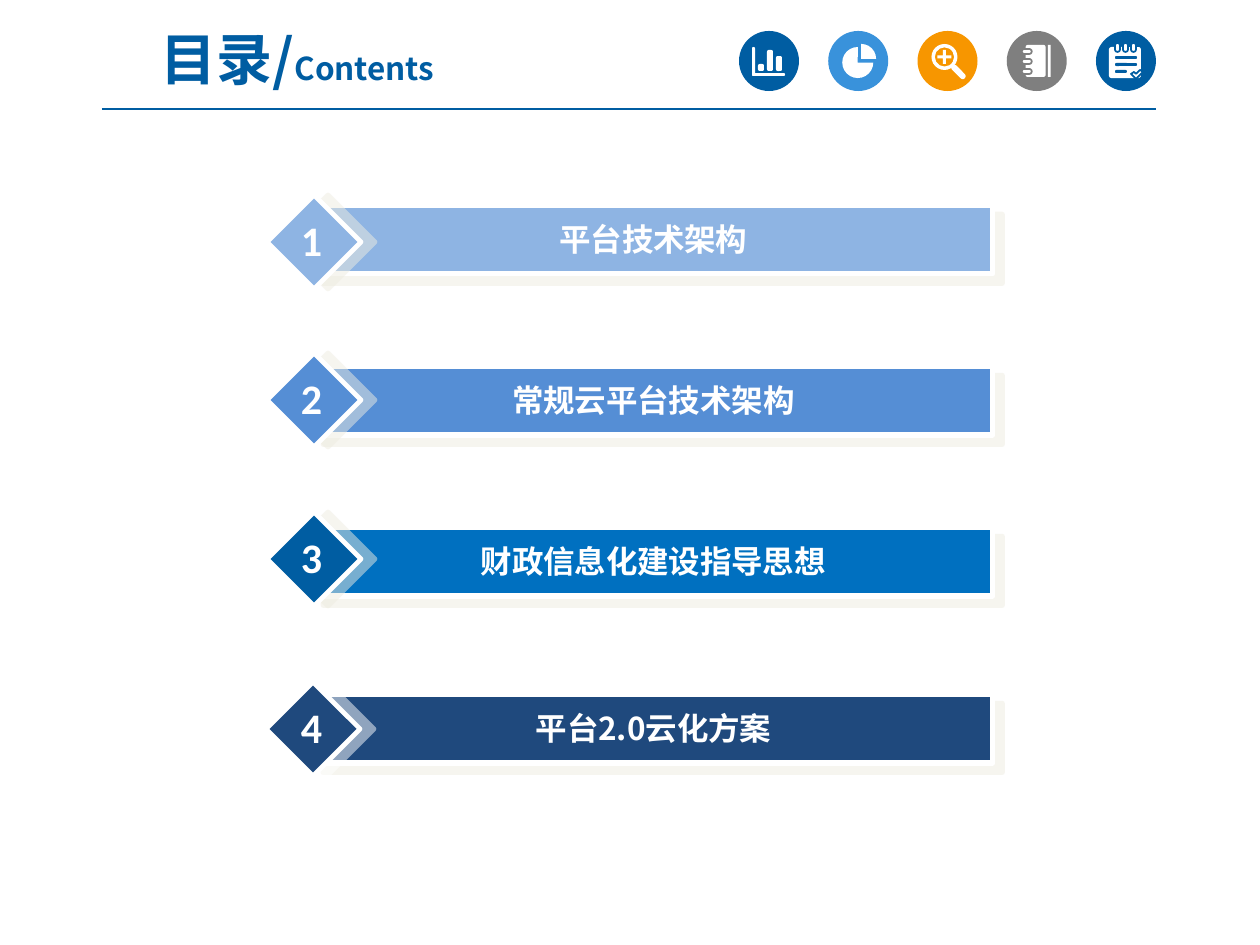
from lxml.etree import SubElement
from pptx import Presentation
from pptx.dml.color import RGBColor
from pptx.enum.shapes import MSO_CONNECTOR, MSO_SHAPE as Shape
from pptx.enum.text import MSO_ANCHOR, PP_ALIGN
from pptx.oxml.ns import qn
from pptx.util import Pt

COLORS = {
    "white": "FFFFFF", "shade": "EEECE1", "blue": "005DA2", "sky": "3992DB",
    "orange": "F79600", "gray": "7F7F7F", "pale": "8EB4E3", "mid": "558ED5",
    "bright": "0070C0", "navy": "1F497D",
}
CJK, LATIN = "Noto Sans CJK SC", "Calibri"
TITLE = [("目录/", 24), ("Contents", 13.5)]

# number, label, bar colour, diamond colour, diamond shadow, bar top, diamond left, diamond top
AGENDA = [
    ("1", "平台技术架构", "pale", "pale", "shade", 205, 267, 195),
    ("2", "常规云平台技术架构", "mid", "mid", "shade", 366, 267, 353),
    ("3", "财政信息化建设指导思想", "bright", "blue", "shade", 527, 267, 512),
    ("4", "平台2.0云化方案", "navy", "navy", "white", 694, 266, 682),
]

RECT, ROUND, PIE = Shape.RECTANGLE, Shape.ROUNDED_RECTANGLE, Shape.PIE
BADGES = [
    ("blue", [
        (ROUND, (13, 16, 3, 29), [0.5]), (ROUND, (13, 42, 33, 3), [0.5]),
        (ROUND, (19, 33, 6, 7), [0.3]), (ROUND, (28, 19, 6, 21), [0.3]),
        (ROUND, (37, 25, 6, 15), [0.3]),
    ]),
    ("sky", [(PIE, (14, 16, 31, 31), [0, 162]), (PIE, (18, 13, 30, 30), [162, 0])]),
    ("orange", [
        (Shape.DONUT, (14, 13, 26, 26), [0.13]),
        (Shape.CROSS, (20, 19, 14, 14), [0.39]),
        (ROUND, (32, 38, 18, 6), [0.5], 45),
    ]),
    ("gray", [(ROUND, (19, 14, 20, 32), [0.1]), (RECT, (41, 14, 3, 32), [])]
     + [(ROUND, (15, y, 10, 5), [0.5], 0, "white", True) for y in (18, 28, 38)]),
    ("blue", [(ROUND, (13, 16, 32, 31), [0.08])]
     + [(ROUND, (x, 12, 5, 9), [0.5], 0, "white", True) for x in (19, 27, 35)]
     + [(ROUND, (19, y, w, 3), [0.5], 0, "blue") for y, w in ((25, 22), (32, 22), (39, 12))]),
]
BADGE_LEFT, BADGE_TOP, BADGE_SIZE, BADGE_PITCH = 739, 31, 60, 89.25
TICK = [(35, 43), (38, 41), (40, 43), (44, 39), (47, 41), (40, 48)]
BAR_LEFT, BAR_WIDTH, BAR_HEIGHT, DIAMOND = 314, 679, 69, 94

SCALE = 914400 / 168


def px(value):
    return round(value * SCALE)


def rgb(name):
    return RGBColor.from_string(COLORS[name])


def paint(shape, fill, line=None, width=0):
    shape.shadow.inherit = False
    shape.fill.solid()
    shape.fill.fore_color.rgb = rgb(fill)
    if line:
        shape.line.color.rgb = rgb(line)
        shape.line.width = Pt(width)
    else:
        shape.line.fill.background()


def add_part(slide, kind, box, fill, line=None, width=0, adjust=(), turn=0):
    shape = slide.shapes.add_shape(kind, *map(px, box))
    for i, value in enumerate(adjust):
        shape.adjustments[i] = value
    shape.rotation = turn
    paint(shape, fill, line, width)
    return shape


def cast_shadow(shape, color, distance, degrees):
    effects = shape._element.spPr.find(qn("a:effectLst"))
    shadow = SubElement(effects, qn("a:outerShdw"), blurRad="0", dist=str(Pt(distance)),
                        dir=str(degrees * 60000), algn="tl", rotWithShape="0")
    tint = SubElement(shadow, qn("a:srgbClr"), val=COLORS[color])
    SubElement(tint, qn("a:alpha"), val="50000")


def add_text(slide, box, runs, face, color, wrap=True):
    frame = slide.shapes.add_textbox(*map(px, box)).text_frame
    frame.word_wrap = wrap
    frame.vertical_anchor = MSO_ANCHOR.MIDDLE
    frame.margin_left = frame.margin_right = frame.margin_top = frame.margin_bottom = 0
    paragraph = frame.paragraphs[0]
    paragraph.alignment = PP_ALIGN.CENTER
    font = paragraph.font
    font.name, font.bold, font.color.rgb = face, True, rgb(color)
    defaults = paragraph._p.pPr.find(qn("a:defRPr"))
    SubElement(defaults, qn("a:ea"), typeface=face)
    for text, size in runs:
        run = paragraph.add_run()
        run.text = text
        run.font.size = Pt(size)


def add_header(slide):
    add_text(slide, (84, 24, 427, 69), TITLE, CJK, "blue")
    rule = slide.shapes.add_connector(MSO_CONNECTOR.STRAIGHT, px(102), px(109), px(1156), px(109))
    rule.line.color.rgb = rgb("blue")
    rule.line.width = Pt(0.75)
    SubElement(rule._element.spPr, qn("a:effectLst"))

    for i, (color, parts) in enumerate(BADGES):
        left = BADGE_LEFT + i * BADGE_PITCH
        add_part(slide, Shape.OVAL, (left, BADGE_TOP, BADGE_SIZE, BADGE_SIZE), color)
        for kind, (x, y, w, h), adjust, *style in parts:
            turn, fill, outlined = (style + [0, "white", False][len(style):])
            add_part(slide, kind, (left + x, BADGE_TOP + y, w, h), fill,
                     color if outlined else None, 0.75, adjust, turn)

    corners = [(px(left + x), px(BADGE_TOP + y)) for x, y in TICK]
    outline = slide.shapes.build_freeform(*corners[0])
    outline.add_line_segments(corners[1:], close=True)
    paint(outline.convert_to_shape(), "white", "blue", 0.75)


def add_agenda_row(slide, number, label, bar_color, tip_color, shade, top, tip_left, tip_top):
    bar = add_part(slide, RECT, (BAR_LEFT, top, BAR_WIDTH, BAR_HEIGHT), bar_color, "white", 2.25)
    cast_shadow(bar, "shade", 5.7, 45)
    add_text(slide, (BAR_LEFT, top, BAR_WIDTH, BAR_HEIGHT - 2), [(label, 13.5)], CJK, "white")
    tip = add_part(slide, Shape.DIAMOND, (tip_left, tip_top, DIAMOND, DIAMOND),
                   tip_color, "white", 2)
    cast_shadow(tip, shade, 6, 0)
    add_text(slide, (284, tip_top + 11, 55, 67), [(number, 18)], LATIN, "white", False)


def main():
    deck = Presentation()
    deck.slide_width, deck.slide_height = px(1260), px(945)
    slide = deck.slides.add_slide(deck.slide_layouts[6])
    add_header(slide)
    for row in AGENDA:
        add_agenda_row(slide, *row)
    deck.save("out.pptx")


if __name__ == "__main__":
    main()
